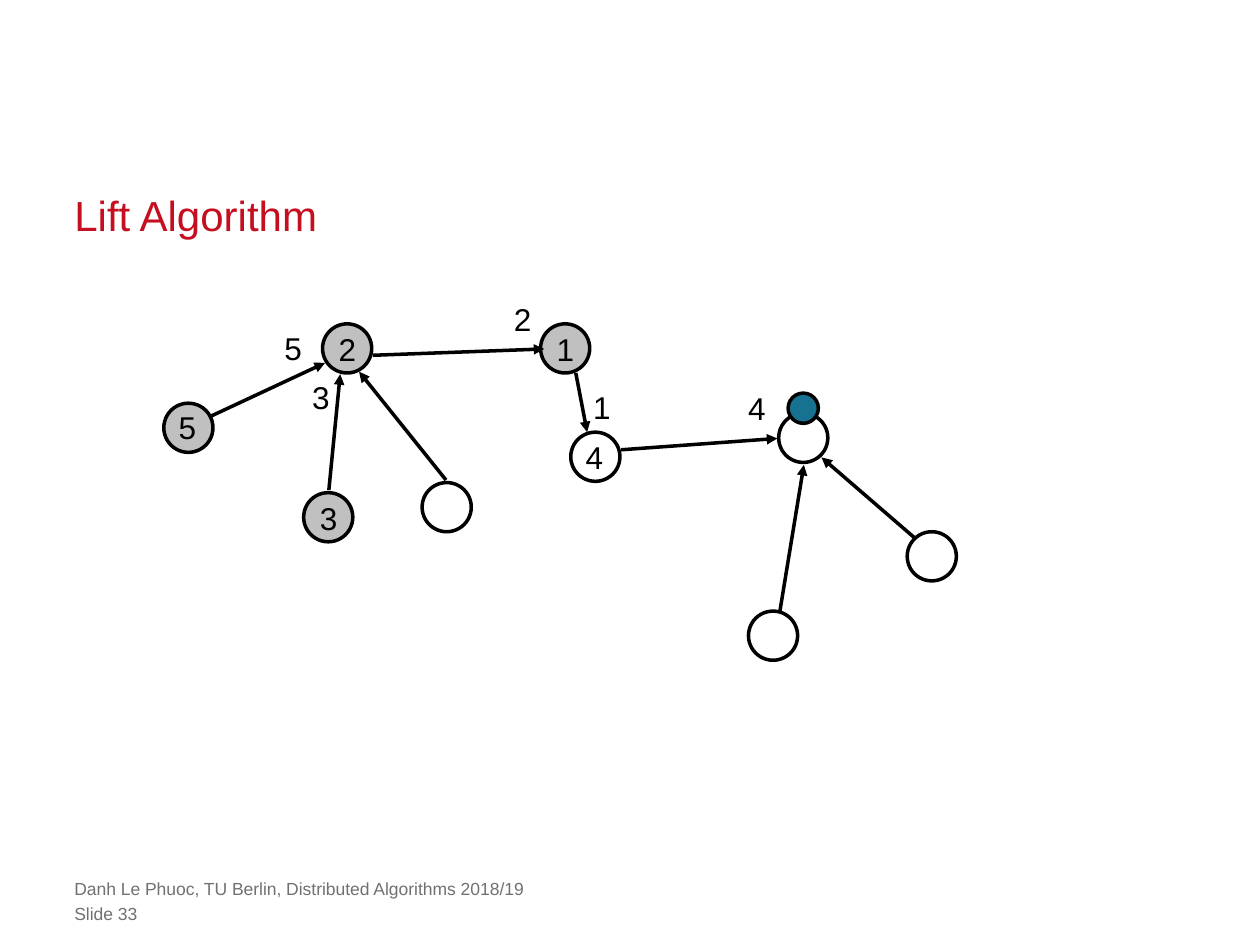
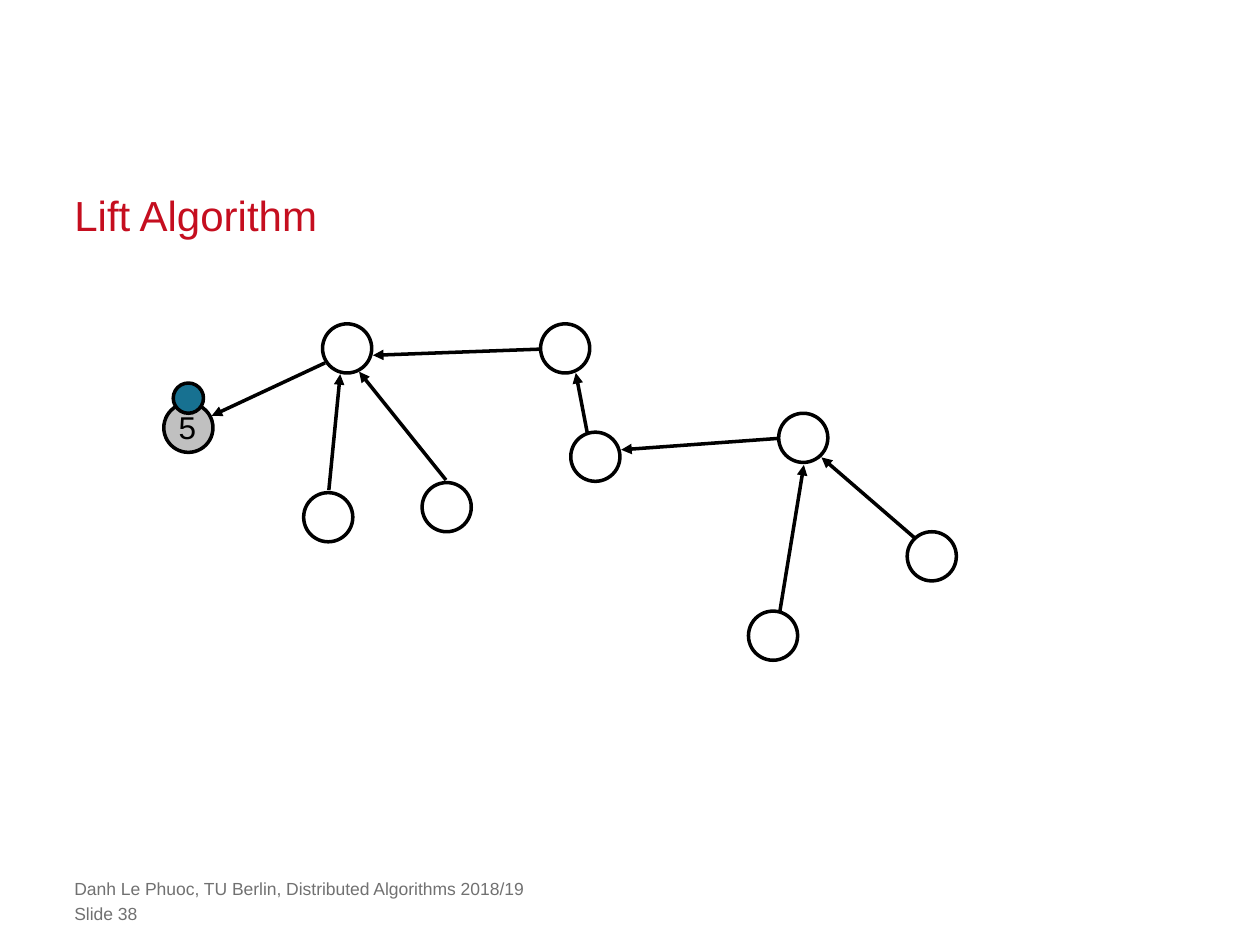
from lxml.etree import SubElement
from pptx import Presentation
from pptx.dml.color import RGBColor
from pptx.enum.shapes import MSO_CONNECTOR as Connector, MSO_SHAPE as Shape
from pptx.enum.text import MSO_ANCHOR as Anchor
from pptx.oxml.ns import qn
from pptx.util import Inches, Pt

COLORS = {
    "title": "C50E1F",
    "footer": "717171",
    "ink": "000000",
    "open": "FFFFFF",
    "visited": "C0C0C0",
    "token": "177191",
}
FORMATS = {
    "title": {"size": Pt(24), "name": "Arial"},
    "footer": {"size": Pt(10), "name": "Arial"},
    "ink": {"size": Pt(18), "name": "Arial"},
}
NODE_SIZE, TOKEN_SIZE = 0.39, 0.24
LABEL_SIZE = (0.34, 0.4)
MARGIN = 0.59

# Tree nodes: left and top corner
NODES = {
    "lower leaf": (5.94, 4.85),
    "right leaf": (7.2, 4.22),
    "hub": (6.18, 3.28),
    "1": (4.29, 2.57),
    "4": (4.53, 3.43),
    "middle leaf": (3.35, 3.83),
    "2": (2.56, 2.57),
    "5": (1.3, 3.2),
    "3": (2.41, 3.91),
}
# Edges that never turn: start and arrow tip
SIDE_EDGES = [
    ((7.26, 4.27), (6.52, 3.63)),
    ((2.61, 3.89), (2.7, 2.97)),
    ((3.54, 3.81), (2.85, 2.95)),
    ((6.19, 4.85), (6.38, 3.69)),
]
# Edges on the path between the hub and node 5, pointing to node 5
ONE_TO_TWO = ((4.32, 2.77), (2.96, 2.82))
PATH_EDGES = [
    ((6.17, 3.48), (4.93, 3.57)),
    ((4.66, 3.43), (4.57, 2.96)),
    ONE_TO_TWO,
    ((2.58, 2.88), (1.68, 3.3)),
]
NODE_LABELS = {
    "1": (4.32, 2.57),
    "2": (2.59, 2.57),
    "3": (2.44, 3.91),
    "4": (4.55, 3.43),
    "5": (1.32, 3.19),
}
EDGE_LABELS = [
    ("3", (2.38, 2.95)),
    ("2", (3.98, 2.33)),
    ("1", (4.61, 3.03)),
    ("4", (5.84, 3.04)),
    ("5", (2.16, 2.56)),
]


class Deck:
    def __init__(self):
        self.prs = Presentation()
        self.prs.slide_width, self.prs.slide_height = Inches(10), Inches(7.5)

    def new_slide(self, title, number):
        self.slide = self.prs.slides.add_slide(self.prs.slide_layouts[6])
        heading = self.text(title, (MARGIN, 1.48), (8.82, 0.42), "title")
        heading.vertical_anchor = Anchor.BOTTOM
        heading.paragraphs[0].line_spacing = Pt(30)
        footers = ["Danh Le Phuoc, TU Berlin, Distributed Algorithms 2018/19",
                   f"Slide {number}"]
        for row, footer in enumerate(footers):
            self.text(footer, (MARGIN, 6.97 + 0.2 * row), (7.24, 0.17), "footer")

    def text(self, words, corner, size, style):
        box = self.slide.shapes.add_textbox(*map(Inches, corner + size))
        frame = box.text_frame
        frame.word_wrap = True
        for side in ("left", "top", "right", "bottom"):
            setattr(frame, f"margin_{side}", 0)
        run = frame.paragraphs[0].add_run()
        run.text = words
        for attribute, value in FORMATS[style].items():
            setattr(run.font, attribute, value)
        run.font.color.rgb = RGBColor.from_string(COLORS[style])
        return frame

    def label(self, words, corner):
        frame = self.text(words, corner, LABEL_SIZE, "ink")
        frame.word_wrap = False
        frame.margin_left = frame.margin_right = Inches(0.1)
        frame.margin_top = frame.margin_bottom = Inches(0.05)

    def outline(self, line):
        line.color.rgb = RGBColor.from_string(COLORS["ink"])
        line.width = Pt(2)

    def circle(self, corner, diameter, color):
        disc = self.slide.shapes.add_shape(
            Shape.OVAL, *map(Inches, corner + (diameter, diameter)))
        disc.shadow.inherit = False
        disc.fill.solid()
        disc.fill.fore_color.rgb = RGBColor.from_string(COLORS[color])
        self.outline(disc.line)

    def token(self, holder):
        left, top = NODES[holder]
        inset = (NODE_SIZE - TOKEN_SIZE) / 2
        self.circle((left + inset, top - 0.16), TOKEN_SIZE, "token")

    def arrow(self, start, tip):
        edge = self.slide.shapes.add_connector(
            Connector.STRAIGHT, *map(Inches, start + tip))
        self.outline(edge.line)
        SubElement(edge.line._get_or_add_ln(), qn("a:tailEnd"), type="triangle")
        SubElement(edge._element.spPr, qn("a:effectLst"))

    def nodes(self, visited):
        for name, corner in NODES.items():
            self.circle(corner, NODE_SIZE, "visited" if name in visited else "open")


def main():
    deck = Deck()

    # Token at the hub, path edges pointing to it
    deck.new_slide("Lift Algorithm", 33)
    deck.nodes(visited={"1", "2", "3", "5"})
    for start, tip in SIDE_EDGES + [edge[::-1] for edge in PATH_EDGES]:
        deck.arrow(start, tip)
    deck.token("hub")
    for words, corner in [*NODE_LABELS.items(), *EDGE_LABELS]:
        deck.label(words, corner)

    # Token at node 5, path edges turned round
    deck.new_slide("Lift Algorithm", 38)
    deck.arrow(*ONE_TO_TWO)  # starts beneath node 1
    deck.nodes(visited={"5"})
    for edge in SIDE_EDGES + PATH_EDGES:
        if edge != ONE_TO_TWO:
            deck.arrow(*edge)
    deck.token("5")
    deck.label("5", NODE_LABELS["5"])

    deck.prs.save("out.pptx")


if __name__ == "__main__":
    main()
